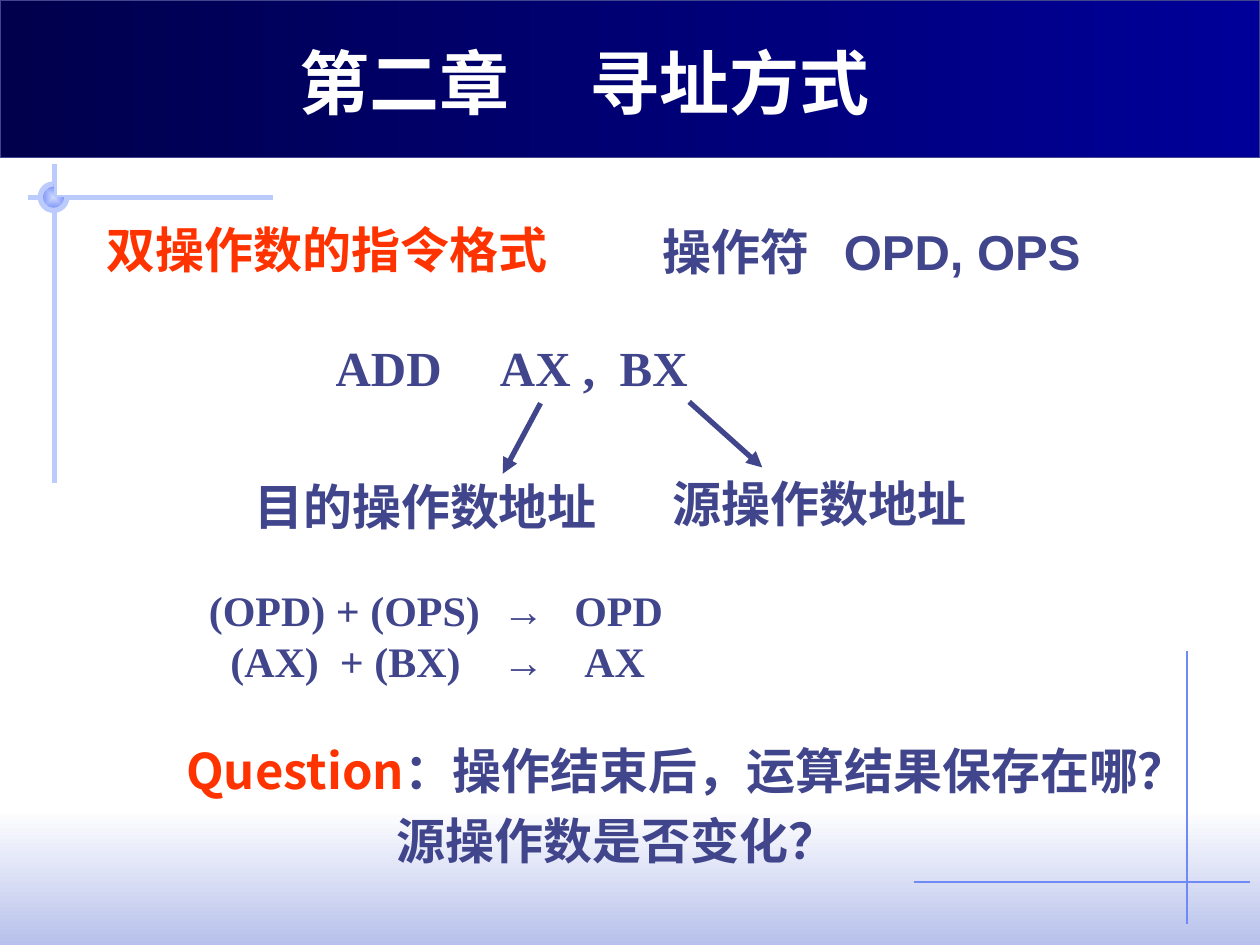
from lxml.etree import SubElement
from pptx import Presentation
from pptx.dml.color import RGBColor
from pptx.enum.shapes import MSO_CONNECTOR, MSO_SHAPE
from pptx.enum.text import MSO_ANCHOR, MSO_AUTO_SIZE, PP_ALIGN
from pptx.oxml.ns import qn
from pptx.util import Inches, Pt

WHITE = RGBColor(0xFF, 0xFF, 0xFF)
INK = RGBColor(0x40, 0x45, 0x8C)
RED = RGBColor(0xFF, 0x33, 0x00)
NIGHT = RGBColor(0x00, 0x00, 0x4D)
NAVY = RGBColor(0x00, 0x00, 0x99)
MIST = RGBColor(0xB7, 0xC1, 0xEB)
PALE = RGBColor(0xCF, 0xDB, 0xFD)
SKY = RGBColor(0xBB, 0xCB, 0xFD)
BLUE = RGBColor(0x6F, 0x89, 0xF7)
SANS, SERIF, ARIAL = "Noto Sans CJK JP", "Times New Roman", "Arial"

deck = Presentation()
deck.slide_width, deck.slide_height = Inches(10), Inches(7.5)
slide = deck.slides.add_slide(deck.slide_layouts[5])
shapes = slide.shapes
title = shapes.title


def grid(*cells):
    """Turn counts of cells into lengths, on a grid of 100 columns by 75 rows."""
    return [round(n * deck.slide_width / 100) for n in cells]


def write(shape, place, size, paras, lead=None):
    """Place a shape and fill it; a paragraph is (indent, tab stops, runs)."""
    shape.left, shape.top, shape.width, shape.height = grid(*place)
    frame = shape.text_frame
    frame.word_wrap = True
    frame.auto_size = MSO_AUTO_SIZE.NONE
    frame.vertical_anchor = MSO_ANCHOR.TOP if lead else MSO_ANCHOR.MIDDLE
    for i, (indent, stops, runs) in enumerate(paras):
        para = frame.add_paragraph() if i else frame.paragraphs[0]
        para.alignment = PP_ALIGN.LEFT
        if lead:
            para.line_spacing = Pt(lead)
        props = para._p.get_or_add_pPr()
        if indent:
            props.set("marL", str(grid(indent)[0]))
        if stops:
            tabs = SubElement(props, qn("a:tabLst"))
            for stop in grid(*stops):
                SubElement(tabs, qn("a:tab"), pos=str(stop), algn="l")
        for text, face, color in runs:
            run = para.add_run()
            run.text = text
            font = run.font
            font.name, font.size, font.bold = face, Pt(size), True
            font.color.rgb = color
            SubElement(run._r.get_or_add_rPr(), qn("a:ea"), typeface=SANS)


# Shaded shapes; no angle means shading outward from the centre
shades = [
    (MSO_SHAPE.RECTANGLE, (0, 64.2, 100, 10.8), WHITE, MIST, 270),
    (MSO_SHAPE.RECTANGLE, (0, 0, 100, 12.5), NIGHT, NAVY, 0),
    (MSO_SHAPE.PIE, (3.2, 14.6, 2.1, 2.1), PALE, BLUE, None),
]
rules = [
    ((94.2, 51.7, 94.2, 73.3), BLUE, 0.75),
    ((72.5, 70, 99.2, 70), BLUE, 0.75),
    ((21.7, 15.7, 2.2, 15.7), SKY, 3),
    ((4.3, 13, 4.3, 38.3), SKY, 3),
]
arrows = [
    ((42.9, 32, 39.9, 37.6), INK, 3),
    ((54.7, 31.9, 60.5, 37.1), INK, 3),
]

for kind, place, first, last, angle in shades:
    shade = shapes.add_shape(kind, *grid(*place))
    shade.shadow.inherit = False
    shade.line.fill.background()
    fill = shade.fill
    fill.gradient()
    for stop, color in zip(fill.gradient_stops, (first, last)):
        stop.color.rgb = color
    if angle is not None:
        fill.gradient_angle = angle
    else:
        grad = shade._element.spPr.find(qn("a:gradFill"))
        grad.remove(grad.find(qn("a:lin")))
        path = SubElement(grad, qn("a:path"), path="rect")
        SubElement(path, qn("a:fillToRect"), l="50000", t="50000", r="50000", b="50000")
    if first == NIGHT:
        shade.line.color.rgb, shade.line.width = INK, Pt(0.75)
ball = shade

lines = []
for ends, color, width in rules + arrows:
    line = shapes.add_connector(MSO_CONNECTOR.STRAIGHT, *grid(*ends))
    line.line.color.rgb, line.line.width = color, Pt(width)
    SubElement(line._element.spPr, qn("a:effectLst"))
    lines.append(line)
pair = lines[len(rules):]
for arrow in pair:
    SubElement(arrow.line._get_or_add_ln(), qn("a:tailEnd"), type="triangle")

# The ball sits on the crossing lines, the title on its band
for front in (ball, title):
    shapes._spTree.append(front._element)

# Three-quarter ring around the ball
ring = shapes.add_shape(MSO_SHAPE.ARC, *grid(*shades[-1][1]))
ring.adjustments[0], ring.adjustments[1] = 0, 162
ring.shadow.inherit = False
ring.fill.background()
ring.line.color.rgb, ring.line.width = SKY, Pt(3)

write(title, (22.8, 2.6, 54, 7.7), 40,
      [(0, [23], [("第二章\t寻址方式", SANS, WHITE)])])

texts = [
    ((24.9, 26.3, 36, 5.7), 28, [(0, [13.8, 23.3], [(" ADD\tAX ,\tBX", SERIF, INK)])]),
    ((19.2, 37.3, 30.5, 5.7), 28, [(0, [], [("目的操作数地址", SERIF, INK)])]),
    ((52.4, 37.1, 26.5, 5.7), 28, [(0, [], [("源操作数地址", SERIF, INK)])]),
    ((15.6, 45.9, 45, 9), 24, [
        (0, [23.3, 29], [("(OPD) + (OPS)\t", SERIF, INK), ("→", ARIAL, INK),
                         ("\tOPD", SERIF, INK)]),
        (0, [1.7, 10.4, 23.3, 29.8], [("\t(AX)\t+ (BX)\t", SERIF, INK), ("→", ARIAL, INK),
                                      ("\tAX", SERIF, INK)])]),
    ((7.5, 16.9, 37.8, 5.7), 28, [(0, [], [("双操作数的指令格式", SERIF, RED)])]),
    ((51.6, 17.1, 38.6, 5.7), 28, [(0, [14.4], [("操作符\tOPD, OPS", ARIAL, INK)])]),
    ((13.8, 57.4, 84, 12.2), 28, [
        (0, [], [("Question", SANS, RED), ("：操作结束后，运算结果保存在哪？", SERIF, INK)]),
        (16.7, [], [("源操作数是否变化？", SERIF, INK)])], 40),
]
boxes = []
for place, *rest in texts:
    box = shapes.add_textbox(*grid(*place))
    write(box, place, *rest)
    boxes.append(box)
pair[0].begin_connect(boxes[0], 2)

deck.save("out.pptx")
